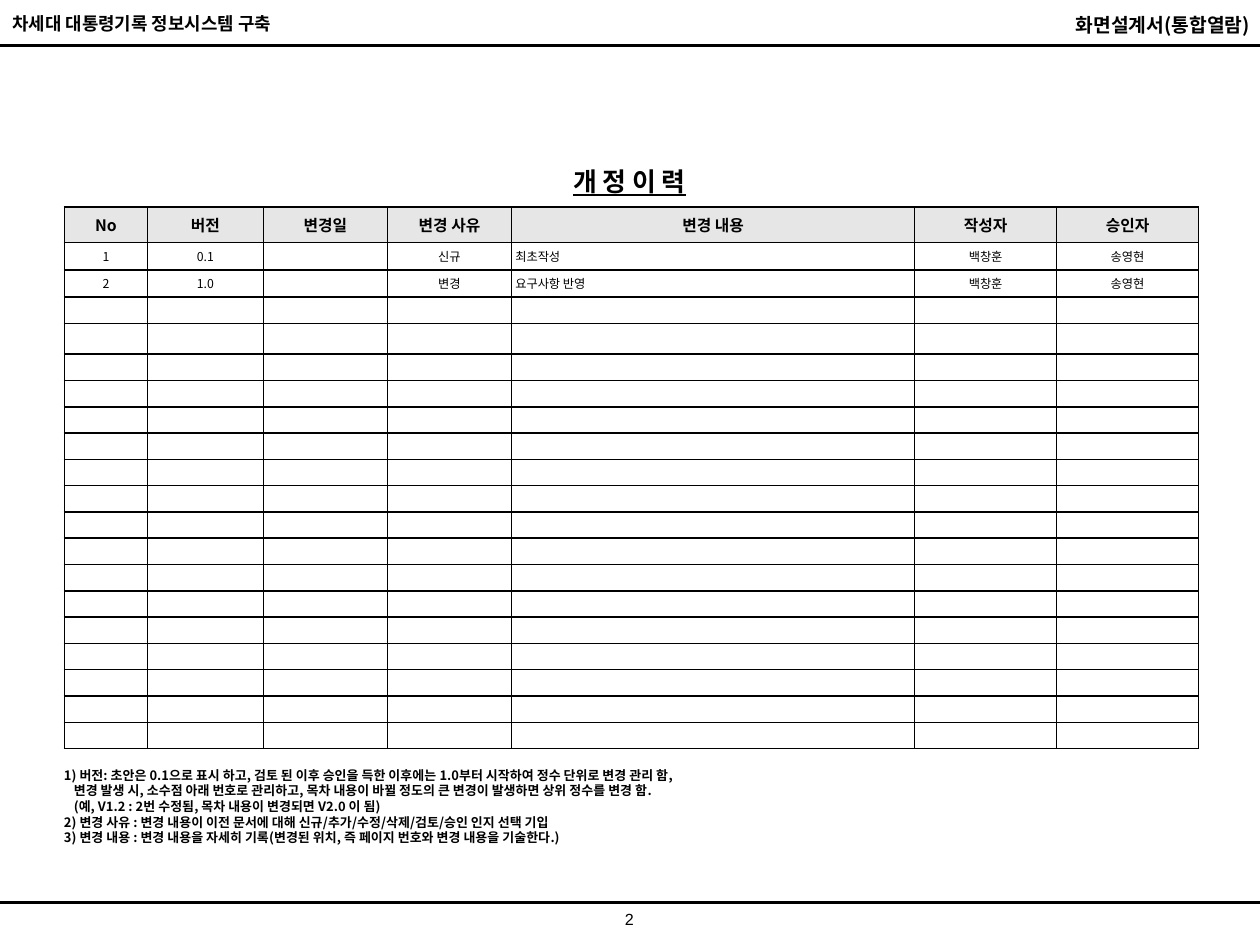
from lxml import etree
from pptx import Presentation
from pptx.dml.color import RGBColor
from pptx.enum.shapes import MSO_CONNECTOR
from pptx.enum.text import MSO_ANCHOR as ANCHOR, PP_ALIGN as ALIGN
from pptx.oxml.ns import qn
from pptx.util import Cm, Pt

COLORS = {"ink": "000000", "header": "E6E6E6"}
FONT = "Noto Sans CJK KR"
COLUMNS = [("No", 1.67), ("버전", 2.34), ("변경일", 2.5), ("변경 사유", 2.5),
           ("변경 내용", 8.13), ("작성자", 2.86), ("승인자", 2.86)]
ROW_HEIGHTS = [0.72, 0.55, 0.55, 0.53, 0.62] + [0.53] * 15
REVISIONS = [("1", "0.1", "", "신규", "최초작성", "백창훈", "송영현"),
             ("2", "1.0", "", "변경", "요구사항 반영", "백창훈", "송영현")]
CONTENT_COLUMN = 4
# Each note: text, left indent in cm
NOTES = [
    ("1) 버전: 초안은 0.1으로 표시 하고, 검토 된 이후 승인을 득한 이후에는 1.0부터 시작하여 정수 단위로 변경 관리 함,", 0),
    ("변경 발생 시, 소수점 아래 번호로 관리하고, 목차 내용이 바뀔 정도의 큰 변경이 발생하면 상위 정수를 변경 함.", 0.2),
    ("(예, V1.2 : 2번 수정됨, 목차 내용이 변경되면 V2.0 이 됨)", 0.2),
    ("2) 변경 사유 : 변경 내용이 이전 문서에 대해 신규/추가/수정/삭제/검토/승인 인지 선택 기입", 0),
    ("3) 변경 내용 : 변경 내용을 자세히 기록(변경된 위치, 즉 페이지 번호와 변경 내용을 기술한다.)", 0),
]


def rgb(name):
    return RGBColor.from_string(COLORS[name])


def style(p, size, bold=False, align=ALIGN.LEFT, name=FONT):
    """Set the paragraph's font for Latin and Korean text alike."""
    p.alignment = align
    font = p.font
    font.size, font.bold, font.name = Pt(size), bold, name
    font.color.rgb = rgb("ink")
    etree.SubElement(font._element, qn("a:ea"), typeface=name)


def add_text(s, text, box, size, **font):
    tb = s.shapes.add_textbox(*map(Cm, box))
    tf = tb.text_frame
    tf.word_wrap = True
    tf.vertical_anchor = ANCHOR.MIDDLE
    tf.text = text
    for p in tf.paragraphs:
        style(p, size, **font)
    return tf


def add_rule(s, y):
    line = s.shapes.add_connector(MSO_CONNECTOR.STRAIGHT, 0, Cm(y), Cm(25.4), Cm(y))
    line.line.color.rgb = rgb("ink")
    line.line.width = Pt(1.5)
    etree.SubElement(line._element.spPr, qn("a:effectLst"))


def add_borders(cell):
    tc_pr = cell._tc.get_or_add_tcPr()
    for i, side in enumerate(("lnL", "lnR", "lnT", "lnB")):
        ln = etree.Element(qn(f"a:{side}"), w=str(Pt(1)))
        fill = etree.SubElement(ln, qn("a:solidFill"))
        etree.SubElement(fill, qn("a:srgbClr"), val=COLORS["ink"])
        tc_pr.insert(i, ln)


def fill_cell(cell, text, size, bold, align):
    cell.text = text
    cell.vertical_anchor = ANCHOR.MIDDLE
    cell.margin_left = cell.margin_right = Cm(0.08)
    cell.margin_top = cell.margin_bottom = 0
    style(cell.text_frame.paragraphs[0], size, bold, align)
    add_borders(cell)


def add_history(s):
    """Add the revision table: header, revisions, then blank rows."""
    widths = [width for _, width in COLUMNS]
    frame = s.shapes.add_table(len(ROW_HEIGHTS), len(COLUMNS), Cm(1.3), Cm(4.17),
                               Cm(sum(widths)), Cm(sum(ROW_HEIGHTS)))
    table = frame.table
    for column, width in zip(table.columns, widths):
        column.width = Cm(width)
    rows = [[title for title, _ in COLUMNS], *REVISIONS]
    rows += [[""] * len(COLUMNS)] * (len(ROW_HEIGHTS) - len(rows))
    for r, (texts, height) in enumerate(zip(rows, ROW_HEIGHTS)):
        table.rows[r].height = Cm(height)
        header = r == 0
        for c, text in enumerate(texts):
            cell = table.cell(r, c)
            left = c == CONTENT_COLUMN and not header
            fill_cell(cell, text, 9 if header else 7, header,
                      ALIGN.LEFT if left else ALIGN.CENTER)
            if header:
                cell.fill.solid()
                cell.fill.fore_color.rgb = rgb("header")
            else:
                cell.fill.background()


def add_notes(s):
    tf = add_text(s, "\n".join(text for text, _ in NOTES),
                  (1.04, 15.34, 17.96, 1.83), 7.4, bold=True)
    for p, (_, indent) in zip(tf.paragraphs, NOTES):
        p._p.get_or_add_pPr().set("marL", str(Cm(indent)))


def main():
    prs = Presentation()
    prs.slide_width, prs.slide_height = Cm(25.4), Cm(19.05)
    s = prs.slides.add_slide(prs.slide_layouts[6])
    add_rule(s, 0.92)
    add_rule(s, 18.19)
    add_text(s, "차세대 대통령기록 정보시스템 구축", (0, 0.13, 10.54, 0.69), 10.2, bold=True)
    add_text(s, "화면설계서(통합열람)", (14.91, 0.15, 10.54, 0.71), 11,
             bold=True, align=ALIGN.RIGHT)
    add_text(s, "2", (11.51, 18.19, 2.36, 0.66), 9.2, align=ALIGN.CENTER, name="Arial")
    add_history(s)
    add_notes(s)
    title = add_text(s, "개 정 이 력", (0.97, 3.2, 23.44, 0.89), 14.8,
                     bold=True, align=ALIGN.CENTER)
    title.paragraphs[0].font.underline = True
    prs.save("out.pptx")


if __name__ == "__main__":
    main()
